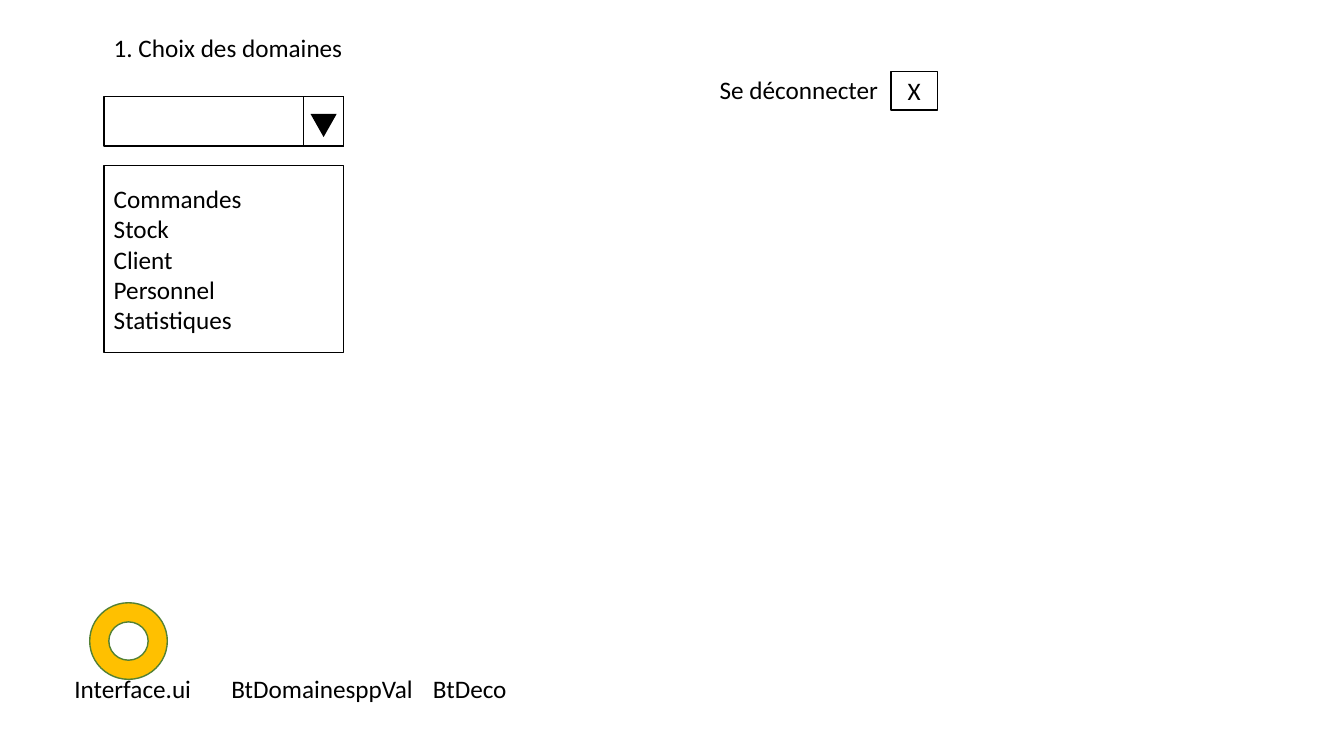
from pptx import Presentation
from pptx.dml.color import RGBColor
from pptx.enum.shapes import MSO_SHAPE
from pptx.enum.text import MSO_ANCHOR, MSO_AUTO_SIZE, PP_ALIGN
from pptx.util import Inches, Pt

BLACK = RGBColor(0x00, 0x00, 0x00)
GOLD = RGBColor(0xFF, 0xC0, 0x00)
GREEN = RGBColor(0x53, 0x81, 0x35)

CELL = Inches(0.1)
COLUMNS, ROWS = 133.33, 75
MENU_LEFT, MENU_WIDTH = 10.3, 23.8
FIELD_TOP, FIELD_HEIGHT = 9.6, 4.9
ARROW_BUTTON_WIDTH = 4
ARROW_WIDTH, ARROW_HEIGHT = 2.6, 2.3
DOMAINS = ["Commandes", "Stock", "Client", "Personnel", "Statistiques"]

FONT_FORMAT = {"name": "Calibri", "size": Pt(18)}
LABEL_FORMAT = {"auto_size": MSO_AUTO_SIZE.SHAPE_TO_FIT_TEXT}
BOX_FORMAT = {"word_wrap": True, "vertical_anchor": MSO_ANCHOR.MIDDLE}


def set_values(target, values):
    """Set each named attribute of the target."""
    for name, value in values.items():
        setattr(target, name, value)


def grid(*cells):
    """Turn grid columns and rows into slide lengths."""
    return [round(cell * CELL) for cell in cells]


def write_lines(shape, lines, frame_format, alignment=PP_ALIGN.LEFT):
    """Write one paragraph per line in the slide's font."""
    frame = shape.text_frame
    set_values(frame, frame_format)
    frame.text = "\n".join(lines)
    for paragraph in frame.paragraphs:
        paragraph.alignment = alignment
        for run in paragraph.runs:
            set_values(run.font, FONT_FORMAT)
            run.font.color.rgb = BLACK


def add_figure(slide, kind, area, fill=None, line=BLACK):
    """Add a preset shape with an optional fill and outline."""
    shape = slide.shapes.add_shape(kind, *grid(*area))
    shape.shadow.inherit = False
    if fill is None:
        shape.fill.background()
    else:
        shape.fill.solid()
        shape.fill.fore_color.rgb = fill
    if line is None:
        shape.line.fill.background()
    else:
        shape.line.color.rgb = line
        shape.line.width = Pt(1)
    return shape


def add_label(slide, area, text, wrap=False):
    """Add a plain text box."""
    label = slide.shapes.add_textbox(*grid(*area))
    write_lines(label, [text], {**LABEL_FORMAT, "word_wrap": wrap})


def add_box(slide, area, lines, alignment=PP_ALIGN.LEFT):
    """Add an outlined box with vertically centred lines."""
    box = add_figure(slide, MSO_SHAPE.RECTANGLE, area)
    write_lines(box, lines, BOX_FORMAT, alignment)


def add_dropdown(slide):
    """Add the empty field with its arrow button."""
    button_left = MENU_LEFT + MENU_WIDTH - ARROW_BUTTON_WIDTH
    arrow_left = button_left + (ARROW_BUTTON_WIDTH - ARROW_WIDTH) / 2
    arrow_top = FIELD_TOP + 1.7
    for left, width in ((MENU_LEFT, MENU_WIDTH), (button_left, ARROW_BUTTON_WIDTH)):
        add_figure(slide, MSO_SHAPE.RECTANGLE, (left, FIELD_TOP, width, FIELD_HEIGHT))
    arrow = add_figure(slide, MSO_SHAPE.ISOSCELES_TRIANGLE,
                       (arrow_left, arrow_top, ARROW_WIDTH, ARROW_HEIGHT), BLACK, None)
    arrow.rotation = 180


def main():
    """Build the domain choice screen and save it."""
    presentation = Presentation()
    width, height = grid(COLUMNS, ROWS)
    set_values(presentation, {"slide_width": width, "slide_height": height})
    slide = presentation.slides.add_slide(presentation.slide_layouts[6])
    add_dropdown(slide)
    add_label(slide, (MENU_LEFT, 2.7, 25, 4), "1. Choix des domaines")
    add_box(slide, (MENU_LEFT, 16.4, MENU_WIDTH, 18.6), DOMAINS)
    add_box(slide, (88.4, 7.1, 4.6, 3.8), ["X"], PP_ALIGN.CENTER)
    add_label(slide, (70.4, 6.9, 17.9, 4), "Se déconnecter")
    add_label(slide, (6.4, 66.3, 73.4, 4),
              "Interface.ui \t BtDomainesppVal\t BtDeco", wrap=True)
    add_figure(slide, MSO_SHAPE.DONUT, (8.9, 59.8, 7.7, 7.6), GOLD, GREEN)
    presentation.save("out.pptx")


main()
